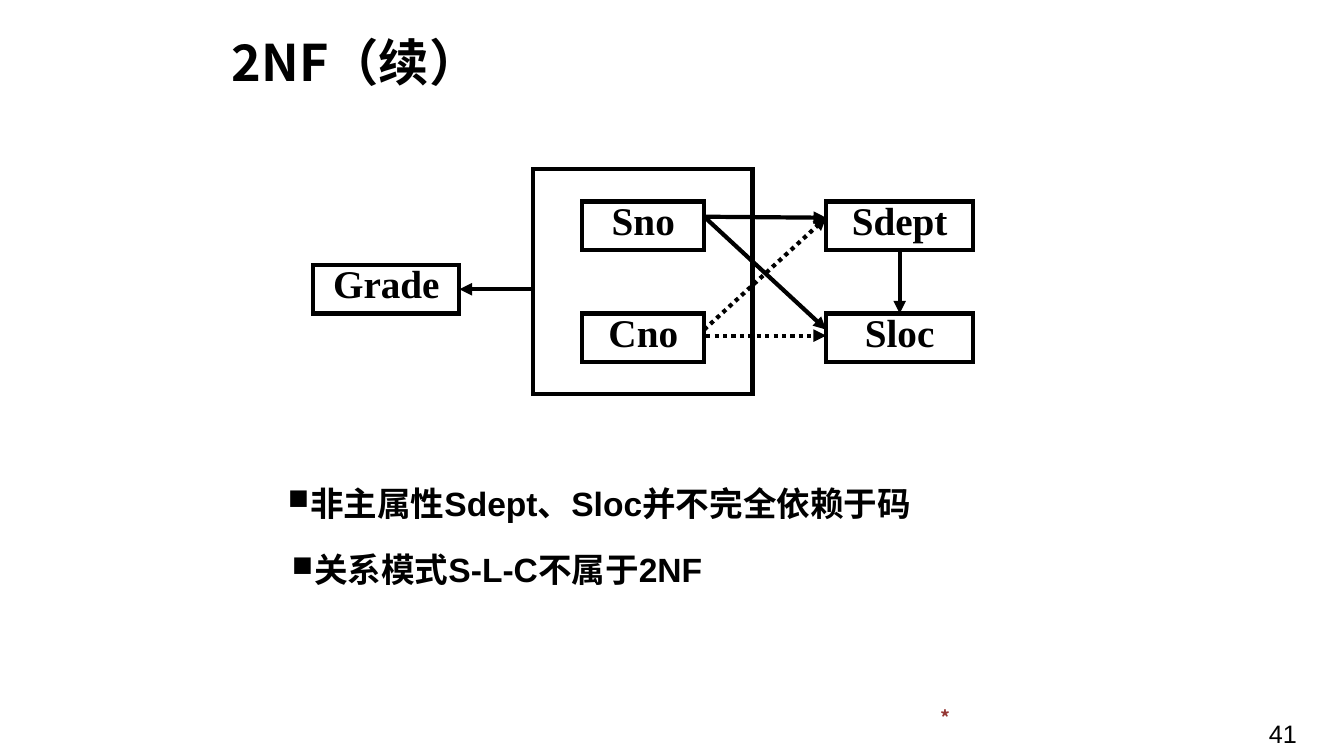
from dataclasses import dataclass

from pptx import Presentation
from pptx.dml.color import RGBColor
from pptx.enum.dml import MSO_LINE
from pptx.enum.shapes import MSO_CONNECTOR, MSO_SHAPE
from pptx.enum.text import MSO_ANCHOR, PP_ALIGN
from pptx.oxml.ns import qn
from pptx.util import Inches, Pt
from lxml import etree

LEFT, CENTER, RIGHT = PP_ALIGN.LEFT, PP_ALIGN.CENTER, PP_ALIGN.RIGHT
TOP, MIDDLE = MSO_ANCHOR.TOP, MSO_ANCHOR.MIDDLE
RECTANGLE, STRAIGHT = MSO_SHAPE.RECTANGLE, MSO_CONNECTOR.STRAIGHT
DOTTED = MSO_LINE.ROUND_DOT


@dataclass(frozen=True)
class Theme:
    black: RGBColor = RGBColor(0x00, 0x00, 0x00)
    red: RGBColor = RGBColor(0x95, 0x37, 0x34)
    sans: str = "Arial"
    serif: str = "Times New Roman"
    chinese: str = "Noto Sans CJK SC"
    title: int = 36
    attribute: int = 28
    body: int = 24
    number: int = 18
    mark: int = 14
    line: int = 3


theme = Theme()


def write(shape, text, size, font=theme.sans, color=theme.black, bold=True,
          align=LEFT, anchor=TOP, inset=0.05, spacing=None, bullet=None):
    frame = shape.text_frame
    frame.word_wrap = True
    frame.vertical_anchor = anchor
    frame.margin_left = frame.margin_right = Inches(0.1)
    frame.margin_top = frame.margin_bottom = Inches(inset)
    paragraph = frame.paragraphs[0]
    paragraph.alignment = align
    if spacing:
        paragraph.line_spacing = spacing
    if bullet:
        properties = paragraph._p.get_or_add_pPr()
        properties.set("marL", str(Inches(0.41)))
        properties.set("indent", str(-Inches(0.22)))
        bullet_color = etree.SubElement(properties, qn("a:buClr"))
        etree.SubElement(bullet_color, qn("a:srgbClr"), val=str(color))
        etree.SubElement(properties, qn("a:buSzPct"), val="85000")
        etree.SubElement(properties, qn("a:buChar"), char=bullet)
    run = paragraph.add_run()
    run.text = text
    run.font.size, run.font.bold, run.font.name = Pt(size), bold, font
    run.font.color.rgb = color
    etree.SubElement(run._r.get_or_add_rPr(), qn("a:ea"), typeface=theme.chinese)


def add_box(left, top, width, height):
    box = slide.shapes.add_shape(
        RECTANGLE, Inches(left), Inches(top), Inches(width), Inches(height))
    box.shadow.inherit = False
    box.fill.background()
    box.line.color.rgb = theme.black
    box.line.width = Pt(theme.line)
    etree.SubElement(box.line._get_or_add_ln(), qn("a:miter"), lim="800000")
    return box


presentation = Presentation()
presentation.slide_width, presentation.slide_height = Inches(13.34), Inches(7.5)
slide = presentation.slides.add_slide(presentation.slide_layouts[5])

title = slide.shapes.title
title.left, title.top = Inches(2.2), Inches(0.13)
title.width, title.height = Inches(9), Inches(0.96)
write(title, "2NF（续）", theme.title, font=theme.chinese, anchor=MIDDLE)

add_box(5.29, 1.68, 2.18, 2.23)

upper_row, middle_row, lower_row = 2, 2.63, 3.11
attributes = [
    ("Sno", 5.78, upper_row, 1.21),
    ("Cno", 5.78, lower_row, 1.21),
    ("Grade", 3.11, middle_row, 1.45),
    ("Sdept", 8.2, upper_row, 1.46),
    ("Sloc", 8.2, lower_row, 1.46),
]
for attribute, left, top, width in attributes:
    write(add_box(left, top, width, 0.48), attribute, theme.attribute,
          font=theme.serif, align=CENTER, inset=0, spacing=0.9)

dependencies = [
    (5.29, 2.87, 4.56, 2.87, None),
    (6.99, 2.15, 8.2, 2.16, None),
    (6.99, 2.15, 8.2, 3.27, None),
    (6.99, 3.27, 8.2, 2.16, DOTTED),
    (7.01, 3.33, 8.2, 3.33, DOTTED),
    (8.93, 2.47, 8.93, 3.11, None),
]
for *ends, dash in dependencies:
    arrow = slide.shapes.add_connector(STRAIGHT, *map(Inches, ends))
    arrow.line.color.rgb = theme.black
    arrow.line.width = Pt(theme.line)
    if dash:
        arrow.line.dash_style = dash
    etree.SubElement(arrow.line._get_or_add_ln(), qn("a:tailEnd"), type="triangle")
    etree.SubElement(arrow._element.spPr, qn("a:effectLst"))

texts = [
    (2.57, 4.74, 7.17, 0.5, "非主属性Sdept、Sloc并不完全依赖于码", theme.body,
     {"bullet": "■"}),
    (2.61, 5.4, 4.98, 0.5, "关系模式S-L-C不属于2NF", theme.body, {"bullet": "■"}),
    (9.24, 6.95, 1.95, 0.34, "*", theme.mark,
     {"font": theme.chinese, "color": theme.red}),
    (11.72, 7.08, 1.25, 0.4, "41", theme.number, {"bold": False, "align": RIGHT}),
]
for *place, text, size, text_format in texts:
    write(slide.shapes.add_textbox(*map(Inches, place)), text, size, **text_format)

presentation.save("out.pptx")
